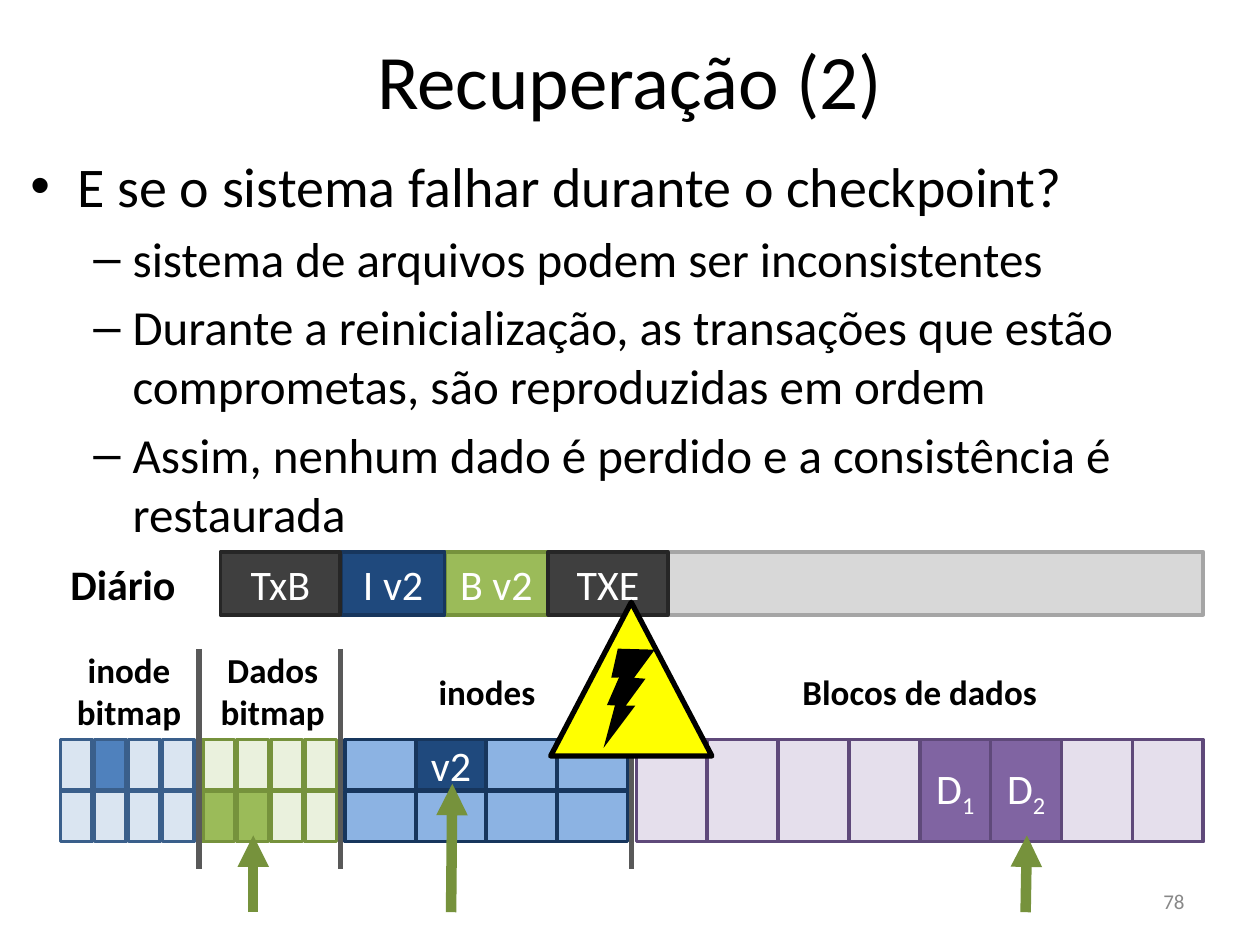
"""Build the slide on journal recovery after a crash during checkpoint."""
from lxml import etree
from pptx import Presentation
from pptx import util as u
from pptx.dml.color import RGBColor
from pptx.enum import shapes, text
from pptx.oxml.ns import qn

FONT = "Calibri"
BLACK, WHITE = "000000", "FFFFFF"
GREEN, DARK_GREEN = "9BBB59", "76923C"
NAVY, DARK_NAVY = "1F497D", "17365D"
GRID_TOP, ROW_STEP, ROW_HEIGHT = 5.87, 0.41, 0.4


def colour(value):
    """Turn a hex string into a colour."""
    return RGBColor.from_string(value)


def style(font, size, ink=BLACK, bold=False):
    """Set face, size, colour and weight of a font."""
    font.name, font.size, font.bold = FONT, u.Pt(size), bold
    font.color.rgb = colour(ink)


def place(shape, left, top, width, height):
    """Move and size a shape, in inches."""
    shape.left, shape.top = u.Inches(left), u.Inches(top)
    shape.width, shape.height = u.Inches(width), u.Inches(height)


def add_shape(page, kind, at, fill, line=None, weight=2):
    """Add a filled preset shape without shadow."""
    shape = page.shapes.add_shape(kind, *(u.Inches(value) for value in at))
    shape.shadow.inherit = False
    shape.fill.solid()
    shape.fill.fore_color.rgb = colour(fill)
    if line:
        shape.line.color.rgb = colour(line)
        shape.line.width = u.Pt(weight)
    else:
        shape.line.fill.background()
    return shape


def add_block(page, at, fill, line, words="", subscript=""):
    """Add a rectangle with an optional centred white caption."""
    shape = add_shape(page, shapes.MSO_SHAPE.RECTANGLE, at, fill, line)
    if not words:
        return
    shape.text_frame.vertical_anchor = text.MSO_ANCHOR.MIDDLE
    para = shape.text_frame.paragraphs[0]
    para.alignment = text.PP_ALIGN.CENTER
    para.add_run().text = words
    if subscript:
        span = para.add_run()
        span.text = subscript
        span._r.get_or_add_rPr().set("baseline", "-25000")
    style(para.font, 24, WHITE)


def add_grid(page, left, step, width, fills, line):
    """Add rows of equal cells, one fill colour per cell."""
    for row, row_fills in enumerate(fills):
        for column, fill in enumerate(row_fills):
            at = (left + column * step, GRID_TOP + row * ROW_STEP, width, ROW_HEIGHT)
            add_block(page, at, fill, line)


def add_label(page, at, lines, size=20, align=text.PP_ALIGN.CENTER, ink=BLACK, bold=True):
    """Add a text box with one paragraph per line."""
    box = page.shapes.add_textbox(*(u.Inches(value) for value in at))
    box.text_frame.word_wrap = False
    box.text_frame.text = "\n".join(lines)
    for para in box.text_frame.paragraphs:
        para.alignment = align
        style(para.font, size, ink, bold)
    return box


def add_line(page, start, end, ink, weight, arrow=False):
    """Add a straight line, with an arrowhead at its end on request."""
    points = (u.Inches(value) for value in (*start, *end))
    line = page.shapes.add_connector(shapes.MSO_CONNECTOR.STRAIGHT, *points)
    line.line.color.rgb = colour(ink)
    line.line.width = u.Pt(weight)
    if arrow:
        etree.SubElement(line.line._get_or_add_ln(), qn("a:tailEnd"), type="triangle")
    etree.SubElement(line._element.spPr, qn("a:effectLst"))


def fill_title(page):
    """Place and write the title."""
    title = page.shapes.title
    place(title, 0.5, 0, 9, 1.25)
    title.text_frame.text = "Recuperação (2)"
    title.text_frame.vertical_anchor = text.MSO_ANCHOR.MIDDLE
    para = title.text_frame.paragraphs[0]
    para.alignment = text.PP_ALIGN.CENTER
    style(para.font, 44)


def fill_body(page):
    """Place and write the bulleted list."""
    body = page.placeholders[1]
    place(body, 0.14, 1.15, 9.76, 5.66)
    frame = body.text_frame
    frame.auto_size = text.MSO_AUTO_SIZE.NONE
    frame.text = "\n".join((
        "E se o sistema falhar durante o checkpoint?",
        "sistema de arquivos podem ser inconsistentes",
        "Durante a reinicialização, as transações que estão comprometas, são reproduzidas em ordem",
        "Assim, nenhum dado é perdido e a consistência é restaurada",
    ))
    first, *rest = frame.paragraphs
    first.space_before = u.Pt(0)
    style(first.font, 32)
    for para in rest:
        para.level = 1
        para.space_before = u.Pt(5.6)
        style(para.font, 28)


def add_journal(page):
    """Draw the journal bar and its records."""
    top, height = 4.38, 0.5
    add_block(page, (1.75, top, 7.8, height), "D8D8D8", "A5A5A5")
    add_label(page, (0.46, top, 1.2, height), ["Diário"], 24, text.PP_ALIGN.LEFT)
    for left, width, fill, line, words in (
        (3.53, 0.82, GREEN, DARK_GREEN, "B v2"),
        (2.71, 0.82, NAVY, DARK_NAVY, "I v2"),
        (1.75, 0.95, "3F3F3F", "262626", "TxB"),
        (4.35, 0.95, "3F3F3F", "262626", "TXE"),
    ):
        add_block(page, (left, top, width, height), fill, line, words)


def add_disk(page):
    """Draw the bitmaps, inodes and data blocks with their labels."""
    pale_blue, pale_green, sky = "DAE5F1", "EAF1DD", "8CB3E3"
    inode_bits = [[pale_blue] * 4, [pale_blue] * 4]
    inode_bits[0][1] = "4F81BD"
    data_bits = [[pale_green] * 4, [GREEN] * 2 + [pale_green] * 2]
    add_grid(page, 0.48, 0.27, 0.25, inode_bits, "3A5F8B")
    add_grid(page, 1.61, 0.27, 0.25, data_bits, DARK_GREEN)
    add_grid(page, 2.74, 0.56, 0.56, [[sky] * 4] * 2, DARK_NAVY)
    add_block(page, (3.3, GRID_TOP, 0.56, ROW_HEIGHT), NAVY, DARK_NAVY, "v2")

    block_width = 4.5 / 8
    written = {4: "1", 5: "2"}
    for index in range(8):
        at = (5.05 + index * block_width, GRID_TOP, block_width, ROW_STEP + ROW_HEIGHT)
        if index in written:
            add_block(page, at, "8064A2", "5F497A", "D", written[index])
        else:
            add_block(page, at, "E5DFEC", "5F497A")

    add_label(page, (0.51, 5.1, 1.03, 0.76), ["inode", "bitmap"])
    add_label(page, (1.65, 5.1, 1.03, 0.76), ["Dados", "bitmap"])
    add_label(page, (3.38, 5.27, 0.97, 0.43), ["inodes"])
    add_label(page, (6.27, 5.27, 2.06, 0.43), ["Blocos de dados"])
    for x in (1.58, 2.7, 5.01):
        add_line(page, (x, 5.15), (x, 6.9), "595959", 3)


def add_warning(page):
    """Draw the warning triangle with its lightning bolt."""
    add_shape(page, shapes.MSO_SHAPE.ISOSCELES_TRIANGLE, (4.37, 4.78, 1.28, 1.22),
              "FFFF00", BLACK, 3)
    bolt = add_shape(page, shapes.MSO_SHAPE.LIGHTNING_BOLT, (4.63, 5.15, 0.68, 0.68), BLACK)
    bolt.rotation = 336.9
    bolt._element.spPr.find(qn("a:xfrm")).set("flipH", "1")


def main():
    """Build and save the deck."""
    deck = Presentation()
    deck.slide_width, deck.slide_height = u.Inches(10), u.Inches(7.5)
    page = deck.slides.add_slide(deck.slide_layouts[1])
    fill_title(page)
    fill_body(page)
    number = add_label(page, (7.17, 6.95, 2.33, 0.4), ["78"], 12,
                       text.PP_ALIGN.RIGHT, "888888", False)
    number.text_frame.word_wrap = True
    number.text_frame.vertical_anchor = text.MSO_ANCHOR.MIDDLE
    add_journal(page)
    add_disk(page)
    for start, end in (((3.58, 7.24), (3.59, 6.22)),
                       ((2.01, 7.24), (2.01, 6.63)),
                       ((8.14, 7.24), (8.15, 6.63))):
        add_line(page, start, end, DARK_GREEN, 6, arrow=True)
    add_warning(page)
    deck.save("out.pptx")


if __name__ == "__main__":
    main()
